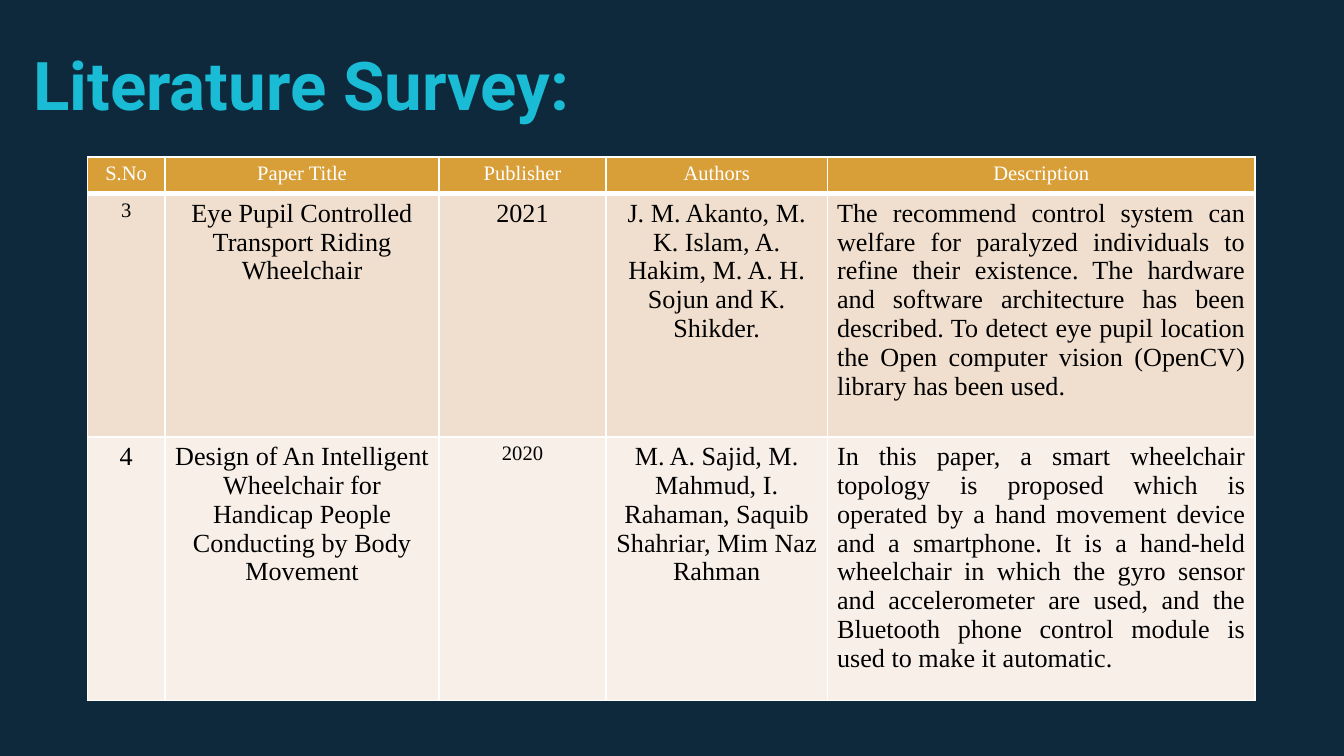
"""Build a literature survey slide with a table of papers."""
from lxml import etree
from pptx import Presentation
from pptx import util as u
from pptx.dml.color import RGBColor
from pptx.enum import text
from pptx.oxml.ns import qn

TITLE = "Literature Survey:"
HEAD = ["S.No", "Paper Title", "Publisher", "Authors", "Description"]
PAPERS = [
    ["3", "Eye Pupil Controlled Transport Riding Wheelchair", "2021",
     "J. M. Akanto, M. K. Islam, A. Hakim, M. A. H. Sojun and K. Shikder.",
     "The recommend control system can welfare for paralyzed individuals to "
     "refine their existence. The hardware and software architecture has been "
     "described. To detect eye pupil location the Open computer vision "
     "(OpenCV) library has been used."],
    ["4", "Design of An Intelligent Wheelchair for Handicap People Conducting "
     "by Body Movement", "2020",
     "M. A. Sajid, M. Mahmud, I. Rahaman, Saquib Shahriar, Mim Naz Rahman",
     "In this paper, a smart wheelchair topology is proposed which is operated "
     "by a hand movement device and a smartphone. It is a hand-held wheelchair "
     "in which the gyro sensor and accelerometer are used, and the Bluetooth "
     "phone control module is used to make it automatic."],
]
SMALL = {"3", "2020", *HEAD}
WIDTHS = [1.47, 5.18, 3.15, 4.19, 8.08]
HEIGHTS = [0.69, 4.6, 4.98]
THEME = {
    "back": "0E293C", "title": "19BBD5", "line": "FFFFFF",
    "head": "FFFFFF", "body": "000000",
    "rows": ["D89F39", "F0DFCE", "F8F0E8"],
    "fonts": ("Roboto", "Times New Roman"),
    "big": 36, "mid": 14, "small": 11,
}


def style(para, face, size, color):
    font = para.font
    font.name, font.size = face, u.Pt(size)
    font.color.rgb = RGBColor.from_string(color)


def border(cell, side, width):
    line = etree.SubElement(cell._tc.get_or_add_tcPr(), qn(f"a:ln{side}"),
                            w=str(u.Pt(width)))
    fill = etree.SubElement(line, qn("a:solidFill"))
    etree.SubElement(fill, qn("a:srgbClr"), val=THEME["line"])


def add_title(slide):
    box = slide.shapes.add_textbox(u.Cm(0.38), u.Cm(1.22), u.Cm(21.89), u.Cm(1.37))
    frame = box.text_frame
    frame.word_wrap = True
    frame.vertical_anchor = text.MSO_ANCHOR.BOTTOM
    frame.margin_left = frame.margin_right = u.Cm(0.25)
    frame.margin_top = frame.margin_bottom = u.Cm(0.25)
    frame.text = TITLE
    para = frame.paragraphs[0]
    style(para, THEME["fonts"][0], THEME["big"], THEME["title"])
    para.font.bold = True


def fill_cell(cell, words, row, col):
    for side in "LRTB":
        border(cell, side, 3 if row == 0 and side == "B" else 1)
    cell.fill.solid()
    cell.fill.fore_color.rgb = RGBColor.from_string(THEME["rows"][row])
    cell.margin_left = cell.margin_right = u.Cm(0.18)
    cell.margin_top = cell.margin_bottom = u.Cm(0.1)
    cell.text = words
    para = cell.text_frame.paragraphs[0]
    wide = row > 0 and col == len(HEAD) - 1
    para.alignment = text.PP_ALIGN.JUSTIFY if wide else text.PP_ALIGN.CENTER
    style(para, THEME["fonts"][1], THEME["small" if words in SMALL else "mid"],
          THEME["body" if row else "head"])


def add_papers(slide):
    rows = [HEAD, *PAPERS]
    table = slide.shapes.add_table(
        len(rows), len(HEAD), u.Cm(1.65), u.Cm(2.97),
        u.Cm(sum(WIDTHS)), u.Cm(sum(HEIGHTS))).table
    for col, width in zip(table.columns, WIDTHS):
        col.width = u.Cm(width)
    for row, height in zip(table.rows, HEIGHTS):
        row.height = u.Cm(height)
    for r, line in enumerate(rows):
        for c, words in enumerate(line):
            fill_cell(table.cell(r, c), words, r, c)


def main():
    deck = Presentation()
    deck.slide_width, deck.slide_height = u.Cm(25.4), u.Cm(14.29)
    slide = deck.slides.add_slide(deck.slide_layouts[6])
    back = slide.background.fill
    back.solid()
    back.fore_color.rgb = RGBColor.from_string(THEME["back"])
    add_title(slide)
    add_papers(slide)
    deck.save("out.pptx")


if __name__ == "__main__":
    main()
